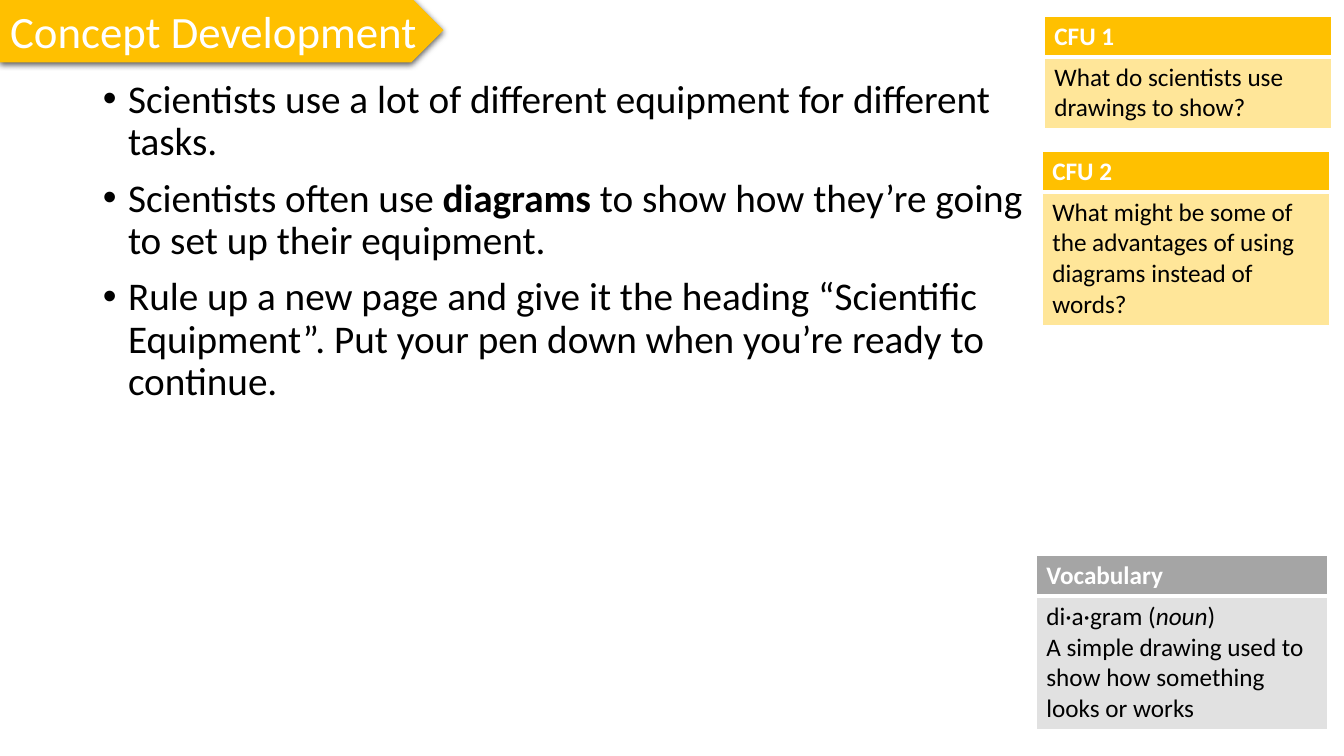
from dataclasses import dataclass

from lxml.etree import SubElement
from pptx import Presentation
from pptx.dml.color import RGBColor
from pptx.enum.shapes import MSO_SHAPE
from pptx.enum.text import MSO_ANCHOR, MSO_AUTO_SIZE, PP_ALIGN
from pptx.oxml.ns import qn
from pptx.util import Inches, Pt


@dataclass(frozen=True)
class Theme:
    font: str = "Calibri"
    title_size: int = 32
    body_size: int = 28
    card_size: int = 18
    ink: str = "000000"
    paper: str = "FFFFFF"
    gold: str = "FFC000"
    pale_gold: str = "FFE699"
    grey: str = "A5A5A5"
    pale_grey: str = "E1E1E1"


def write(paragraph, *parts, font, size, color, bold=False):
    for part in parts:
        words, emphasis = part if isinstance(part, tuple) else (part, "")
        if words == "\n":
            paragraph.add_line_break()
            continue
        run = paragraph.add_run()
        run.text = words
        run.font.name = font
        run.font.size = Pt(size)
        run.font.color.rgb = RGBColor.from_string(color)
        run.font.bold = bold or emphasis == "bold"
        run.font.italic = emphasis == "italic"


class LessonSlide:
    COLUMNS, ROWS = 80, 45
    HEADER_ROWS = 2.34

    def __init__(self, deck, theme):
        self.theme = theme
        self.column = deck.slide_width / self.COLUMNS
        self.row = deck.slide_height / self.ROWS
        self.slide = deck.slides.add_slide(deck.slide_layouts[1])

    def area(self, left, top, width, height):
        return (round(left * self.column), round(top * self.row),
                round(width * self.column), round(height * self.row))

    def place(self, holder, area):
        holder.left, holder.top, holder.width, holder.height = area
        frame = holder.text_frame
        frame.auto_size = MSO_AUTO_SIZE.NONE
        return frame

    def banner(self, heading, *grid):
        area = self.area(*grid)
        pentagon = self.slide.shapes.add_shape(MSO_SHAPE.PENTAGON, *area)
        pentagon.fill.solid()
        pentagon.fill.fore_color.rgb = RGBColor.from_string(self.theme.gold)
        pentagon.line.fill.background()
        pentagon.shadow.inherit = False
        effects = pentagon._element.spPr.find(qn("a:effectLst"))
        shadow = SubElement(effects, qn("a:outerShdw"), blurRad=str(Pt(4.5)),
                            dist=str(Pt(1.5)), dir="5400000", rotWithShape="0")
        tint = SubElement(shadow, qn("a:srgbClr"), val=self.theme.ink)
        SubElement(tint, qn("a:alpha"), val="63000")
        self.slide.shapes._spTree.insert(2, pentagon._element)

        frame = self.place(self.slide.shapes.title, area)
        frame.word_wrap = False
        frame.vertical_anchor = MSO_ANCHOR.MIDDLE
        paragraph = frame.paragraphs[0]
        paragraph.alignment = PP_ALIGN.LEFT
        write(paragraph, heading, font=self.theme.font,
              size=self.theme.title_size, color=self.theme.paper)

    def bullets(self, points, *grid):
        frame = self.place(self.slide.placeholders[1], self.area(*grid))
        frame.word_wrap = True
        frame.vertical_anchor = MSO_ANCHOR.TOP
        for index, point in enumerate(points):
            paragraph = frame.add_paragraph() if index else frame.paragraphs[0]
            properties = paragraph._p.get_or_add_pPr()
            properties.set("marL", str(Inches(0.25)))
            properties.set("indent", str(-Inches(0.25)))
            SubElement(properties, qn("a:buFont"), typeface="Arial")
            SubElement(properties, qn("a:buChar"), char="•")
            paragraph.line_spacing = 0.9
            paragraph.space_before = Pt(10 if index else 0)
            write(paragraph, *point, font=self.theme.font,
                  size=self.theme.body_size, color=self.theme.ink)

    def border(self, cell, **widths):
        properties = cell._tc.get_or_add_tcPr()
        for side in "LRTB":
            line = SubElement(properties, qn(f"a:ln{side}"),
                              w=str(Pt(widths.get(side, 1))))
            fill = SubElement(line, qn("a:solidFill"))
            SubElement(fill, qn("a:srgbClr"), val=self.theme.paper)

    def card(self, heading, details, strong, pale, *grid):
        area = self.area(*grid)
        table = self.slide.shapes.add_table(2, 1, *area).table
        table.rows[0].height = round(self.HEADER_ROWS * self.row)
        table.rows[1].height = area[3] - table.rows[0].height
        contents = (
            ([heading], strong, self.theme.paper, True, {"B": 3}),
            (details, pale, self.theme.ink, False, {"T": 3}),
        )
        for index, (parts, fill, color, bold, widths) in enumerate(contents):
            cell = table.cell(index, 0)
            self.border(cell, **widths)
            cell.fill.solid()
            cell.fill.fore_color.rgb = RGBColor.from_string(fill)
            write(cell.text_frame.paragraphs[0], *parts, font=self.theme.font,
                  size=self.theme.card_size, color=color, bold=bold)


def main():
    deck = Presentation()
    deck.slide_width, deck.slide_height = Inches(13.33), Inches(7.5)
    theme = Theme()
    lesson = LessonSlide(deck, theme)

    lesson.banner("Concept Development", 0, -0.12, 26.4, 3.84)
    lesson.card(
        "Vocabulary",
        ["di·a·gram (", ("noun", "italic"), ")", "\n",
         "A simple drawing used to show how something looks or works"],
        theme.grey, theme.pale_grey, 61.68, 33.06, 17.34, 10.26)
    lesson.card("CFU 1", ["What do scientists use drawings to show?"],
                theme.gold, theme.pale_gold, 62.16, 0.96, 17.1, 6.6)
    lesson.card(
        "CFU 2",
        ["What might be some of the advantages of using diagrams instead of words?"],
        theme.gold, theme.pale_gold, 62.04, 9, 17.1, 10.2)
    lesson.bullets([
        ["Scientists use a lot of different equipment for different tasks."],
        ["Scientists often use ", ("diagrams", "bold"),
         " to show how they’re going to set up their equipment."],
        ["Rule up a new page and give it the heading “Scientific Equipment”. "
         "Put your pen down when you’re ready to continue."],
    ], 5.52, 4.44, 56.16, 32.4)

    deck.save("out.pptx")


if __name__ == "__main__":
    main()
